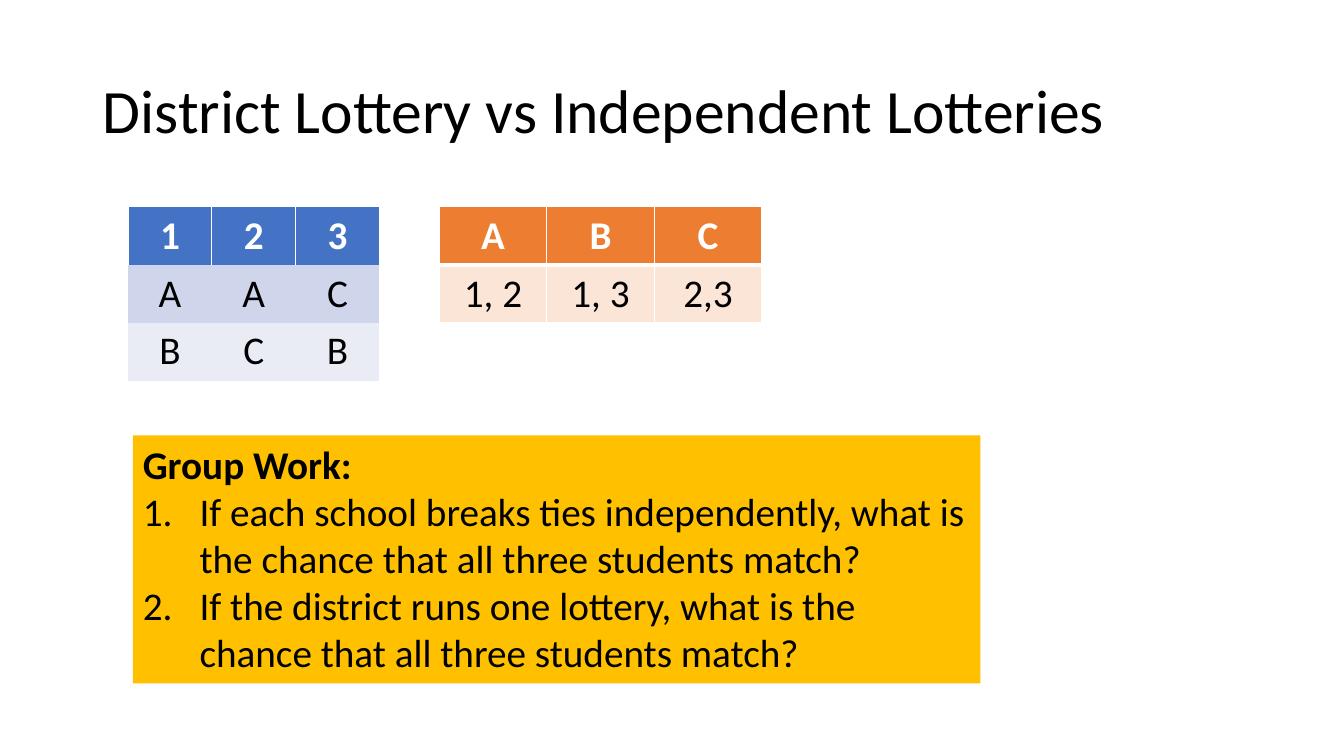
"""Build the slide on district and independent lotteries."""
from dataclasses import dataclass

from lxml.etree import SubElement as Sub
from pptx import Presentation
from pptx.dml.color import RGBColor
from pptx.enum.shapes import MSO_SHAPE as Shape
from pptx.enum.text import MSO_ANCHOR as Anchor, PP_ALIGN as Align
from pptx.oxml.ns import qn
from pptx.slide import Slide
from pptx.table import _Cell as Cell
from pptx.text.text import _Paragraph as Para
from pptx.util import Cm, Pt

BLACK = RGBColor(0x00, 0x00, 0x00)
WHITE = RGBColor(0xFF, 0xFF, 0xFF)
BLUE = RGBColor(0x44, 0x72, 0xC4)
PALE = RGBColor(0xCF, 0xD5, 0xEA)
LIGHT = RGBColor(0xE9, 0xEB, 0xF5)
ORANGE = RGBColor(0xED, 0x7D, 0x31)
PEACH = RGBColor(0xFB, 0xE5, 0xD6)
GOLD = RGBColor(0xFF, 0xC0, 0x00)

NO_STYLE = "{2D5ABB26-0587-4C30-8999-92F81FD0307C}"
ROW = 1.46


@dataclass
class Band:
    """One table row: its words, fill and border widths by side."""
    words: list[str]
    fill: RGBColor
    edges: dict[str, int]


@dataclass
class Grid:
    """A table of choices, with lengths in centimetres."""
    left: float
    col: float
    bands: list[Band]


GRIDS = [
    Grid(3.23, 2.11, [
        Band(["1", "2", "3"], BLUE, {"L": 1, "R": 1, "T": 1}),
        Band(["A", "A", "C"], PALE, {}),
        Band(["B", "C", "B"], LIGHT, {}),
    ]),
    Grid(11.07, 2.71, [
        Band(["A", "B", "C"], ORANGE, {"L": 1, "R": 1, "T": 1, "B": 3}),
        Band(["1, 2", "1, 3", "2,3"], PEACH, {"L": 1, "R": 1, "T": 3, "B": 1}),
    ]),
]

TASKS = [
    "If each school breaks ties independently, what is the chance that all three students match?",
    "If the district runs one lottery, what is the chance that all three students match?",
]


def style(para: Para, size: int = 28, color: RGBColor = BLACK, bold: bool = False) -> None:
    """Set the font of a paragraph's runs."""
    for run in para.runs:
        font = run.font
        font.name, font.size, font.bold = "Calibri", Pt(size), bold
        font.color.rgb = color


def edge(cell: Cell, side: str, width: int) -> None:
    """Draw one white cell border."""
    line = Sub(cell._tc.get_or_add_tcPr(), qn(f"a:ln{side}"), w=str(Pt(width)))
    Sub(Sub(line, qn("a:solidFill")), qn("a:srgbClr"), val=str(WHITE))


def draw_grid(slide: Slide, grid: Grid) -> None:
    """Draw one table with a white bold head."""
    rows, cols = len(grid.bands), len(grid.bands[0].words)
    frame = slide.shapes.add_table(
        rows, cols, Cm(grid.left), Cm(5.21), Cm(grid.col * cols), Cm(ROW * rows))
    table = frame.table
    table.horz_banding = False
    table._tbl.tblPr.find(qn("a:tableStyleId")).text = NO_STYLE
    for r, band in enumerate(grid.bands):
        for c, word in enumerate(band.words):
            cell = table.cell(r, c)
            for side, width in band.edges.items():
                edge(cell, side, width)
            cell.fill.solid()
            cell.fill.fore_color.rgb = band.fill
            para = cell.text_frame.paragraphs[0]
            para.text = word
            para.alignment = Align.CENTER
            head = r == 0
            style(para, color=WHITE if head else BLACK, bold=head)


def draw_title(slide: Slide) -> None:
    """Draw the slide title."""
    box = slide.shapes.add_textbox(Cm(2.34), Cm(1.02), Cm(30.05), Cm(3.68))
    frame = box.text_frame
    frame.word_wrap = True
    frame.vertical_anchor = Anchor.MIDDLE
    frame.text = "District Lottery vs Independent Lotteries"
    para = frame.paragraphs[0]
    para.line_spacing = 0.9
    style(para, size=44)


def draw_tasks(slide: Slide) -> None:
    """Draw the gold box with the numbered group work."""
    box = slide.shapes.add_shape(Shape.RECTANGLE, Cm(3.35), Cm(10.97), Cm(21.36), Cm(6.25))
    box.shadow.inherit = False
    box.fill.solid()
    box.fill.fore_color.rgb = GOLD
    box.line.fill.background()
    frame = box.text_frame
    frame.word_wrap = True
    frame.vertical_anchor = Anchor.TOP
    frame.text = "Group Work:"
    lead = frame.paragraphs[0]
    lead.alignment = Align.LEFT
    style(lead, bold=True)
    for task in TASKS:
        para = frame.add_paragraph()
        para.text = task
        para.alignment = Align.LEFT
        props = para._p.get_or_add_pPr()
        props.set("marL", str(Cm(1.43)))
        props.set("indent", str(-Cm(1.43)))
        Sub(props, qn("a:buFont"), typeface="+mj-lt")
        Sub(props, qn("a:buAutoNum"), type="arabicPeriod")
        style(para)


def main() -> None:
    """Build and save the deck."""
    deck = Presentation()
    deck.slide_width, deck.slide_height = Cm(33.87), Cm(19.05)
    slide = deck.slides.add_slide(deck.slide_layouts[6])
    draw_title(slide)
    for grid in GRIDS:
        draw_grid(slide, grid)
    draw_tasks(slide)
    deck.save("out.pptx")


if __name__ == "__main__":
    main()
